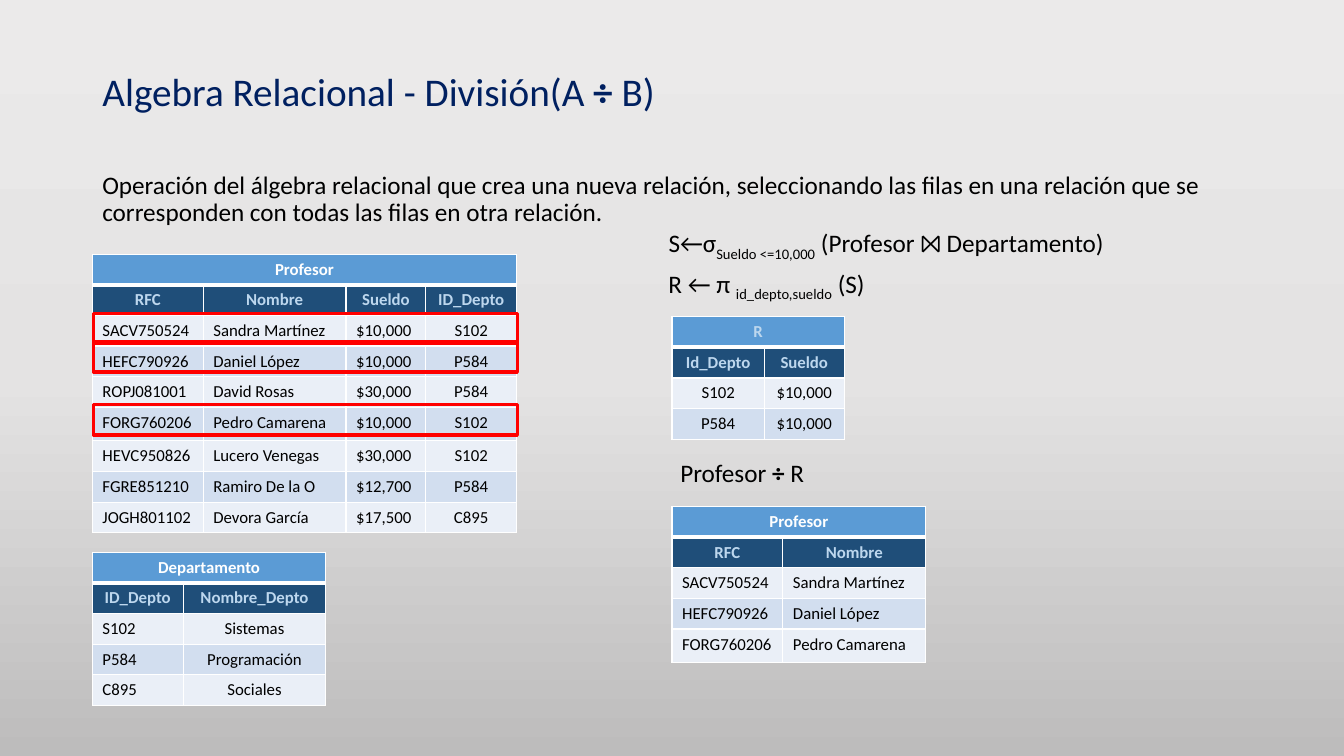
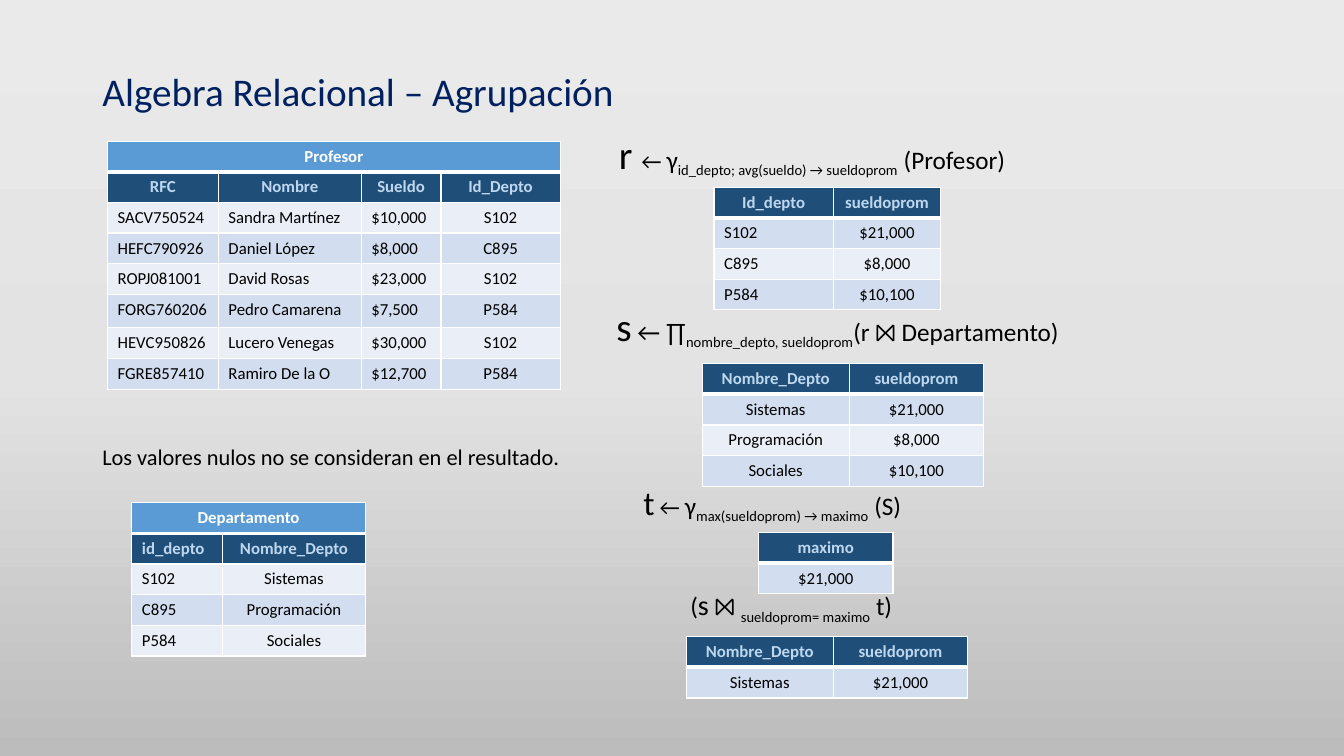
from copy import deepcopy
from lxml.etree import SubElement
from pptx import Presentation
from pptx.dml.color import RGBColor as Rgb
from pptx.enum.shapes import MSO_SHAPE as Shape
from pptx.enum.text import MSO_ANCHOR as Anchor, PP_ALIGN as Align
from pptx.oxml.ns import qn
from pptx.util import Inches, Pt

COLORS = {
    "title": "002060", "text": "000000", "white": "FFFFFF", "mark": "FF0000",
    "caption": "5B9BD5", "header": "1F4E79", "header_text": "BDD7EE",
    "light": "EAEFF7", "dark": "D2DEEF",
}
BACKGROUND = [(0, "EBEAEA"), (0.5, "E4E3E3"), (1, "BDBCBC")]
FONT = "Calibri"
ALIGN = {"l": Align.LEFT, "c": Align.CENTER}

prs = Presentation()
prs.slide_width, prs.slide_height = Inches(13.333), Inches(7.5)
UNIT = prs.slide_height / 90
MARGIN, CONTENT = 11, 138
ROW, TALL_ROW = 3.65, 4
RFC, NAME, PAY, DEPT, WIDE_DEPT = 13.2, 17, 9.5, 10.8, 14.2
DEPT_NAME, AVERAGE = 17.5, 16


def write(paragraph, runs, color="text"):
    for text, size, style in runs:
        run = paragraph.add_run()
        run.text = text
        run.font.name, run.font.size = FONT, Pt(size)
        run.font.bold = style == "bold"
        run.font.color.rgb = Rgb.from_string(COLORS[color])
        if style == "sub":
            run._r.get_or_add_rPr().set("baseline", "-25000")


def add_relation(slide, x, y, columns, aligns, rows, caption=None,
                 caption_color="white", header_aligns=None, tall=None):
    lines = ([[caption]] if caption else []) + rows
    header = 1 if caption else 0
    heights = [TALL_ROW if i == tall else ROW for i in range(len(lines))]
    box = [int(v * UNIT) for v in (x, y, sum(columns), sum(heights))]
    table = slide.shapes.add_table(len(lines), len(columns), *box).table
    for column, width in zip(table.columns, columns):
        column.width = int(width * UNIT)
    for i, line in enumerate(lines):
        table.rows[i].height = int(heights[i] * UNIT)
        if i < header:
            fill, color, sides = "caption", caption_color, "c"
        elif i == header:
            fill, color = "header", "header_text"
            sides = header_aligns or "c" * len(columns)
        else:
            fill, color, sides = ("dark" if i % 2 else "light"), "text", aligns
        for j in range(len(columns)):
            cell = table.cell(i, j)
            props = cell._tc.get_or_add_tcPr()
            for side in ("L", "R", "T", "B"):
                thick = (i, side) in ((0, "B"), (1, "T"))
                border = SubElement(props, qn(f"a:ln{side}"), w=str(Pt(3 if thick else 1)))
                solid = SubElement(border, qn("a:solidFill"))
                SubElement(solid, qn("a:srgbClr"), val=COLORS["white"])
            cell.fill.solid()
            cell.fill.fore_color.rgb = Rgb.from_string(COLORS[fill])
            if j < len(line):
                paragraph = cell.text_frame.paragraphs[0]
                paragraph.alignment = ALIGN[sides[j]]
                write(paragraph, [(line[j], 12, "bold" if i <= header else "")], color)
    if caption:
        table.cell(0, 0).merge(table.cell(0, len(columns) - 1))


master = prs.slide_master
backdrop = master.background.fill
backdrop.gradient()
backdrop.gradient_angle = 270
stops = master.element.find(".//" + qn("a:gsLst"))
stops.insert(1, deepcopy(stops[0]))
for stop, (position, shade) in zip(backdrop.gradient_stops, BACKGROUND):
    stop.position = position
    stop.color.rgb = Rgb.from_string(shade)

titles = [
    [("Algebra Relacional - División(A ", 28, ""), ("÷", 28, "bold"), (" B)", 28, "")],
    [("Algebra Relacional – Agrupación", 28, "")],
]
texts = [
    [
        (MARGIN, 20, CONTENT, 7, 0.9, [
            ("Operación del álgebra relacional que crea una nueva relación, "
             "seleccionando las filas en una relación que se corresponden "
             "con todas las filas en otra relación.", 18, "")]),
        (78.4, 26.5, 59.4, 4.8, 1, [
            ("S←σ", 18, ""), ("Sueldo <=10,000", 18, "sub"),
            (" (Profesor ⨝ Departamento)", 18, "")]),
        (78.4, 31.3, 28.8, 4.8, 1, [
            ("R ← π ", 18, ""), ("id_depto,sueldo", 18, "sub"), (" (S)", 18, "")]),
        (79.8, 53.8, 18.8, 4.8, 1, [
            ("Profesor ", 18, ""), ("÷ ", 18, "bold"), ("R", 18, "")]),
    ],
    [
        (MARGIN, 52.2, 57.6, 4.4, 1, [
            ("Los valores nulos no se consideran en el resultado.", 16, "")]),
        (72.5, 14.9, 52.8, 6.5, 1, [
            ("r ", 28, ""), ("← ", 16, ""), ("γ", 18, ""),
            ("id_depto; avg(sueldo) → sueldoprom", 18, "sub"), (" (Profesor)", 18, "")]),
        (72.2, 35.4, 59.4, 6.5, 1, [
            ("s", 28, ""), (" ← ∏", 18, ""), ("nombre_depto, sueldoprom", 18, "sub"),
            ("(r ⨝ Departamento)", 18, "")]),
        (75.4, 56.8, 36.6, 6, 1, [
            ("t", 24, ""), (" ← ", 16, ""), ("γ", 18, ""),
            ("max(sueldoprom) → maximo", 18, "sub"), (" (S)", 18, "")]),
        (81, 69.4, 29.5, 5, 1, [
            ("(", 18, ""), ("s", 20, ""), (" ⨝ ", 18, ""),
            ("sueldoprom= maximo", 18, "sub"), (" t)", 18, "")]),
    ],
]

slides = []
for title_runs, slide_texts in zip(titles, texts):
    slide = prs.slides.add_slide(prs.slide_layouts[5])
    slides.append(slide)
    title = slide.shapes.title
    title.left, title.top, title.width, title.height = [
        int(v * UNIT) for v in (MARGIN, 8, CONTENT, 6.6)]
    title.text_frame.vertical_anchor = Anchor.TOP
    heading = title.text_frame.paragraphs[0]
    heading.alignment, heading.line_spacing = Align.LEFT, 0.9
    write(heading, title_runs, "title")
    for *box, spacing, runs in slide_texts:
        frame = slide.shapes.add_textbox(*[int(v * UNIT) for v in box]).text_frame
        frame.word_wrap = True
        frame.paragraphs[0].line_spacing = spacing
        write(frame.paragraphs[0], runs)

division, grouping = slides

add_relation(division, MARGIN, 30.25, [RFC, NAME, PAY, DEPT], "lllc", [
    ["RFC", "Nombre", "Sueldo", "ID_Depto"],
    ["SACV750524", "Sandra Martínez", "$10,000", "S102"],
    ["HEFC790926", "Daniel López", "$10,000", "P584"],
    ["ROPJ081001", "David Rosas", "$30,000", "P584"],
    ["FORG760206", "Pedro Camarena", "$10,000", "S102"],
    ["HEVC950826", "Lucero Venegas", "$30,000", "S102"],
    ["FGRE851210", "Ramiro De la O", "$12,700", "P584"],
    ["JOGH801102", "Devora García", "$17,500", "C895"],
], "Profesor", tall=5)
add_relation(division, MARGIN, 65.75, [DEPT, NAME], "lc", [
    ["ID_Depto", "Nombre_Depto"],
    ["S102", "Sistemas"],
    ["P584", "Programación"],
    ["C895", "Sociales"],
], "Departamento")
add_relation(division, 80, 37.7, [11, PAY], "cc", [
    ["Id_Depto", "Sueldo"],
    ["S102", "$10,000"],
    ["P584", "$10,000"],
], "R", caption_color="header_text")
add_relation(division, 80, 60.3, [RFC, NAME], "ll", [
    ["RFC", "Nombre"],
    ["SACV750524", "Sandra Martínez"],
    ["HEFC790926", "Daniel López"],
    ["FORG760206", "Pedro Camarena"],
], "Profesor", tall=4)

for mark_top in (37.3, 40.7, 48.2):
    mark_box = (MARGIN + 0.1, mark_top, RFC + NAME + PAY + DEPT, 3.6)
    mark = division.shapes.add_shape(Shape.RECTANGLE, *[int(v * UNIT) for v in mark_box])
    mark.shadow.inherit = False
    mark.fill.background()
    mark.line.color.rgb = Rgb.from_string(COLORS["mark"])
    mark.line.width = Pt(2.25)

add_relation(grouping, 12.8, 16.8, [RFC, NAME, PAY, WIDE_DEPT], "lllc", [
    ["RFC", "Nombre", "Sueldo", "Id_Depto"],
    ["SACV750524", "Sandra Martínez", "$10,000", "S102"],
    ["HEFC790926", "Daniel López", "$8,000", "C895"],
    ["ROPJ081001", "David Rosas", "$23,000", "S102"],
    ["FORG760206", "Pedro Camarena", "$7,500", "P584"],
    ["HEVC950826", "Lucero Venegas", "$30,000", "S102"],
    ["FGRE857410", "Ramiro De la O", "$12,700", "P584"],
], "Profesor", tall=5)
add_relation(grouping, 15.7, 59.85, [DEPT, NAME], "lc", [
    ["id_depto", "Nombre_Depto"],
    ["S102", "Sistemas"],
    ["C895", "Programación"],
    ["P584", "Sociales"],
], "Departamento", header_aligns="lc")
add_relation(grouping, 85, 22.3, [WIDE_DEPT, 12.8], "lc", [
    ["Id_depto", "sueldoprom"],
    ["S102", "$21,000"],
    ["C895", "$8,000"],
    ["P584", "$10,100"],
])
add_relation(grouping, 83.6, 43.3, [DEPT_NAME, AVERAGE], "cc", [
    ["Nombre_Depto", "sueldoprom"],
    ["Sistemas", "$21,000"],
    ["Programación", "$8,000"],
    ["Sociales", "$10,100"],
])
add_relation(grouping, 90.3, 63.4, [AVERAGE], "c", [["maximo"], ["$21,000"]])
add_relation(grouping, 81.7, 75.8, [DEPT_NAME, AVERAGE], "cc", [
    ["Nombre_Depto", "sueldoprom"],
    ["Sistemas", "$21,000"],
])

prs.save("out.pptx")
